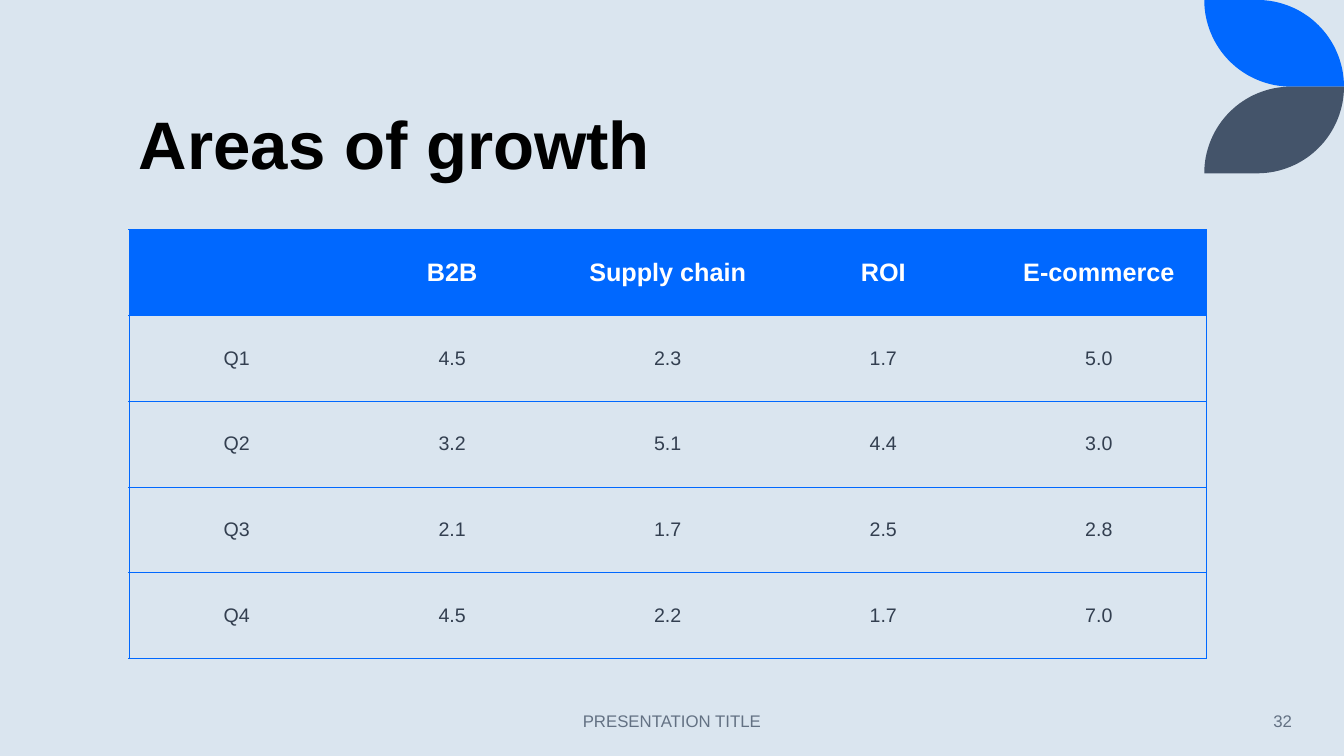
from dataclasses import dataclass
from math import cos, pi, sin

from lxml import etree
from pptx import Presentation
from pptx.dml.color import RGBColor
from pptx.enum.text import MSO_ANCHOR, MSO_AUTO_SIZE, PP_ALIGN
from pptx.oxml.ns import qn
from pptx.util import Pt

LEFT, CENTER, RIGHT = PP_ALIGN.LEFT, PP_ALIGN.CENTER, PP_ALIGN.RIGHT
MIDDLE, BOTTOM = MSO_ANCHOR.MIDDLE, MSO_ANCHOR.BOTTOM


@dataclass(frozen=True)
class Theme:
    font: str = "Arial"
    background: str = "DAE5EF"
    accent: str = "0068FF"
    slate: str = "44546A"
    title: str = "000000"
    header: str = "FFFFFF"
    body: str = "333F50"
    footer: str = "637183"
    title_size: int = 48
    header_size: int = 18
    body_size: int = 14
    footer_size: int = 12


THEME = Theme()


def write_text(text_frame, text, size, color, alignment, bold=False):
    paragraph = text_frame.paragraphs[0]
    paragraph.text = text
    paragraph.alignment = alignment
    paragraph.font.name = THEME.font
    paragraph.font.size = Pt(size)
    paragraph.font.bold = bold
    paragraph.font.color.rgb = RGBColor.from_string(color)
    return paragraph


def set_borders(cell, visible_sides):
    """Draw thin accent lines on the given sides (of "LRTB") and hide the others."""
    properties = cell._tc.get_or_add_tcPr()
    for index, side in enumerate("LRTB"):
        line = etree.Element(qn(f"a:ln{side}"), w=str(Pt(0.5)))
        if side in visible_sides:
            fill = etree.SubElement(line, qn("a:solidFill"))
            etree.SubElement(fill, qn("a:srgbClr"), val=THEME.accent)
        else:
            etree.SubElement(line, qn("a:noFill"))
        properties.insert(index, line)


presentation = Presentation()
presentation.slide_width, presentation.slide_height = Pt(960), Pt(540)
slide = presentation.slides.add_slide(presentation.slide_layouts[5])
slide.background.fill.solid()
slide.background.fill.fore_color.rgb = RGBColor.from_string(THEME.background)

# Corner leaves: two quarter circles each, mirrored about the line where they meet
LEAF_LEFT, LEAF_RIGHT, RADIUS, STEPS = 860.2, 960, 61.9, 32
angles = [pi / 2 * step / STEPS for step in range(STEPS + 1)]
upper_arc = [(LEAF_RIGHT - RADIUS + RADIUS * sin(a), RADIUS - RADIUS * cos(a)) for a in angles]
lower_arc = [(LEAF_LEFT + RADIUS - RADIUS * sin(a), RADIUS * cos(a)) for a in angles]
for color, mirrored in ((THEME.accent, False), (THEME.slate, True)):
    outline = [
        (Pt(x), Pt(2 * RADIUS - y if mirrored else y)) for x, y in upper_arc + lower_arc
    ]
    builder = slide.shapes.build_freeform(*outline[0])
    builder.add_line_segments(outline[1:], close=True)
    leaf = builder.convert_to_shape()
    leaf.shadow.inherit = False
    leaf.fill.solid()
    leaf.fill.fore_color.rgb = RGBColor.from_string(color)
    leaf.line.fill.background()

title = slide.shapes.title
title.left, title.top, title.width, title.height = Pt(92), Pt(11), Pt(770), Pt(123.8)
title.text_frame.auto_size = MSO_AUTO_SIZE.NONE
title.text_frame.word_wrap = True
title.text_frame.vertical_anchor = BOTTOM
title_paragraph = write_text(
    title.text_frame, "Areas of growth", THEME.title_size, THEME.title, LEFT, bold=True
)
title_paragraph.line_spacing = 0.9

growth_rows = [
    ("", "B2B", "Supply chain", "ROI", "E-commerce"),
    ("Q1", "4.5", "2.3", "1.7", "5.0"),
    ("Q2", "3.2", "5.1", "4.4", "3.0"),
    ("Q3", "2.1", "1.7", "2.5", "2.8"),
    ("Q4", "4.5", "2.2", "1.7", "7.0"),
]
row_count, column_count = len(growth_rows), len(growth_rows[0])
table = slide.shapes.add_table(
    row_count, column_count, Pt(92), Pt(164), Pt(770), Pt(306.5)
).table
table.horz_banding = False
for row_index, values in enumerate(growth_rows):
    is_header = row_index == 0
    size = THEME.header_size if is_header else THEME.body_size
    color = THEME.header if is_header else THEME.body
    for column_index, value in enumerate(values):
        cell = table.cell(row_index, column_index)
        cell.vertical_anchor = MIDDLE
        if is_header:
            cell.fill.solid()
            cell.fill.fore_color.rgb = RGBColor.from_string(THEME.accent)
        else:
            cell.fill.background()
        sides = "TB"
        if column_index == 0:
            sides += "L"
        elif column_index == column_count - 1:
            sides += "R"
        set_borders(cell, sides)
        write_text(cell.text_frame, value, size, color, CENTER, bold=is_header)

for text, left, width, alignment in (
    ("PRESENTATION TITLE", 318, 324, CENTER),
    ("32", 799.5, 130.5, RIGHT),
):
    footer = slide.shapes.add_textbox(Pt(left), Pt(500.5), Pt(width), Pt(28.75))
    footer.text_frame.word_wrap = True
    footer.text_frame.vertical_anchor = MIDDLE
    write_text(footer.text_frame, text, THEME.footer_size, THEME.footer, alignment)

presentation.save("out.pptx")
